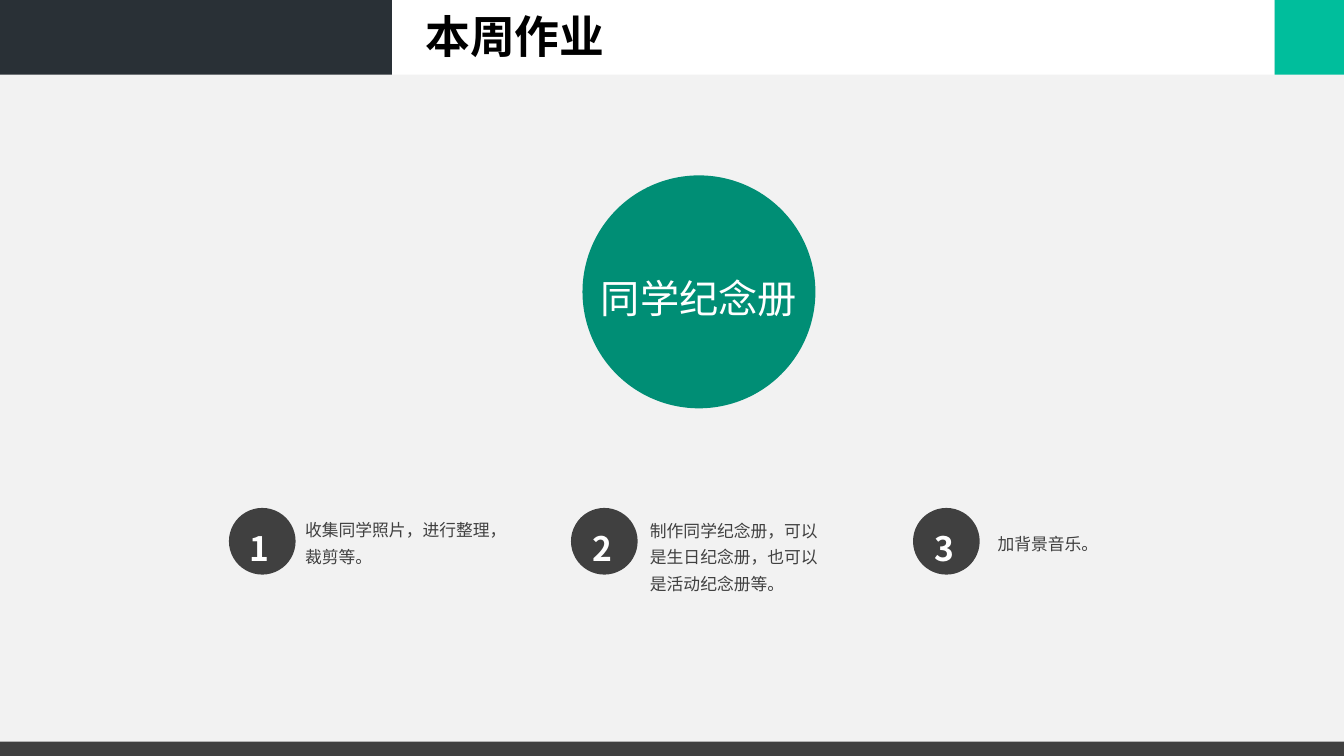
from lxml.etree import SubElement
from pptx import Presentation
from pptx.dml.color import RGBColor
from pptx.enum.shapes import MSO_SHAPE
from pptx.enum.text import MSO_ANCHOR, PP_ALIGN
from pptx.oxml.ns import qn
from pptx.util import Cm, Pt

SPARTAN = "League Spartan"
NOTO = "Noto Sans CJK SC"
DARK, WHITE = "404040", "FFFFFF"

HEADER_HEIGHT = 1.88
HEADER_BARS = [(9.88, "293036"), (22.24, WHITE), (1.75, "00BE9C")]

BADGE_LEFT, BADGE_TOP, BADGE_SIZE, BADGE_STEP = 5.77, 12.8, 1.68, 8.62
TASKS = [
    ("收集同学照片，进行整理，裁剪等。", (7.44, 12.83, 5.36, 1.6)),
    ("制作同学纪念册，可以是生日纪念册，也可以是活动纪念册等。", (16.13, 12.85, 4.93, 2.26)),
    ("加背景音乐。", (24.89, 13.18, 4.93, 0.86)),
]


def color(hex_value):
    return RGBColor.from_string(hex_value)


def lengths(box):
    return [Cm(value) for value in box]


def add_block(shapes, kind, box, fill):
    """Add a flat preset shape without outline or shadow."""
    block = shapes.add_shape(kind, *lengths(box))
    block.shadow.inherit = False
    block.fill.solid()
    block.fill.fore_color.rgb = color(fill)
    block.line.fill.background()


def write(frame, text, font, fill, spacing=1.3, align=PP_ALIGN.LEFT, wrap=True):
    """Put one formatted paragraph into a text frame."""
    frame.text = text
    frame.word_wrap = wrap
    frame.vertical_anchor = MSO_ANCHOR.TOP
    paragraph = frame.paragraphs[0]
    layout = {"line_spacing": spacing, "alignment": align, "space_before": Pt(0)}
    for name, value in layout.items():
        setattr(paragraph, name, value)
    run = paragraph.runs[0]
    for name, value in font.items():
        setattr(run.font, name, value)
    run.font.color.rgb = color(fill)
    east_asian = SubElement(run.font._element, qn("a:ea"))
    east_asian.set("typeface", font["name"])


def add_text(shapes, box, text, font, fill, **layout):
    write(shapes.add_textbox(*lengths(box)).text_frame, text, font, fill, **layout)


def add_disc(slide, disc, label_box, label, font, fill, **layout):
    """Group a round disc with its label."""
    members = slide.shapes.add_group_shape().shapes
    add_block(members, MSO_SHAPE.FLOWCHART_CONNECTOR, disc, fill)
    add_text(members, label_box, label, font, WHITE, **layout)


def add_header(slide, heading):
    left = 0
    for width, fill in HEADER_BARS:
        add_block(slide.shapes, MSO_SHAPE.RECTANGLE, (left, 0, width, HEADER_HEIGHT), fill)
        left += width
    title = slide.shapes.title
    title.element.getparent().append(title.element)  # bring in front of the bars
    title.left, title.top, title.width, title.height = lengths((10.44, 0.25, 5.08, 1.5))
    font = {"name": SPARTAN, "size": Pt(32), "bold": True}
    write(title.text_frame, heading, font, "000000",
          spacing=0.9, align=PP_ALIGN.CENTER, wrap=False)


def add_tasks(slide):
    number_font = {"name": NOTO, "size": Pt(24), "bold": True}
    task_font = {"name": SPARTAN, "size": Pt(12)}
    for index, (task, box) in enumerate(TASKS):
        left = BADGE_LEFT + index * BADGE_STEP
        add_disc(slide, (left, BADGE_TOP, BADGE_SIZE, BADGE_SIZE),
                 (left + 0.28, 12.88, 0.89, 1.45), str(index + 1), number_font, DARK)
        add_text(slide.shapes, box, task, task_font, DARK)


def main():
    deck = Presentation()
    deck.slide_width, deck.slide_height = Cm(33.87), Cm(19.05)
    slide = deck.slides.add_slide(deck.slide_layouts[5])
    slide.background.fill.solid()
    slide.background.fill.fore_color.rgb = color("F2F2F2")

    add_header(slide, "本周作业")
    add_block(slide.shapes, MSO_SHAPE.RECTANGLE, (0, 18.69, 33.87, 0.36), DARK)
    add_disc(slide, (14.68, 4.42, 5.87, 5.87), (14.55, 6.43, 6.12, 1.8), "同学纪念册",
             {"name": NOTO, "size": Pt(28)}, "008E75", align=PP_ALIGN.CENTER)
    add_tasks(slide)
    deck.save("out.pptx")


if __name__ == "__main__":
    main()
